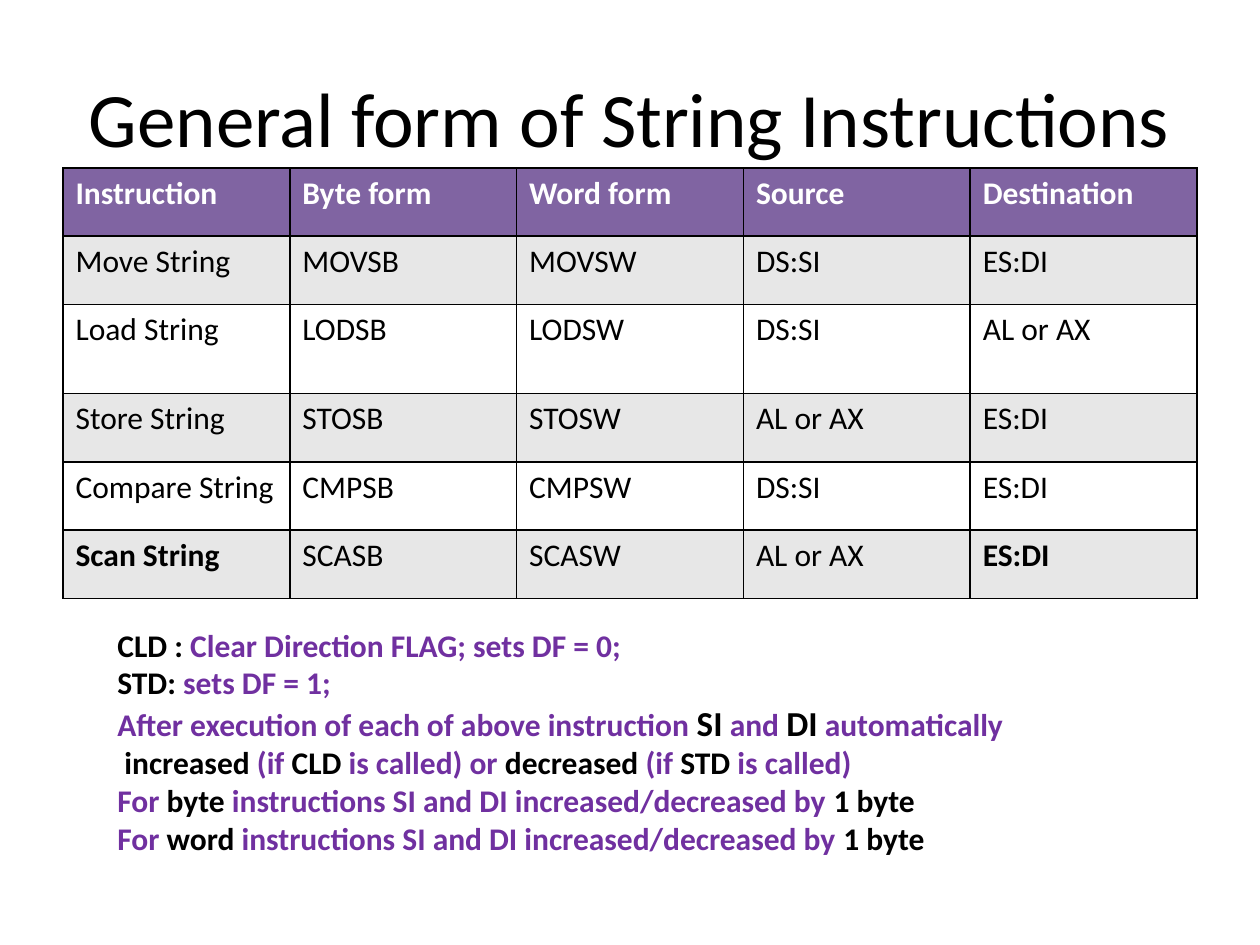
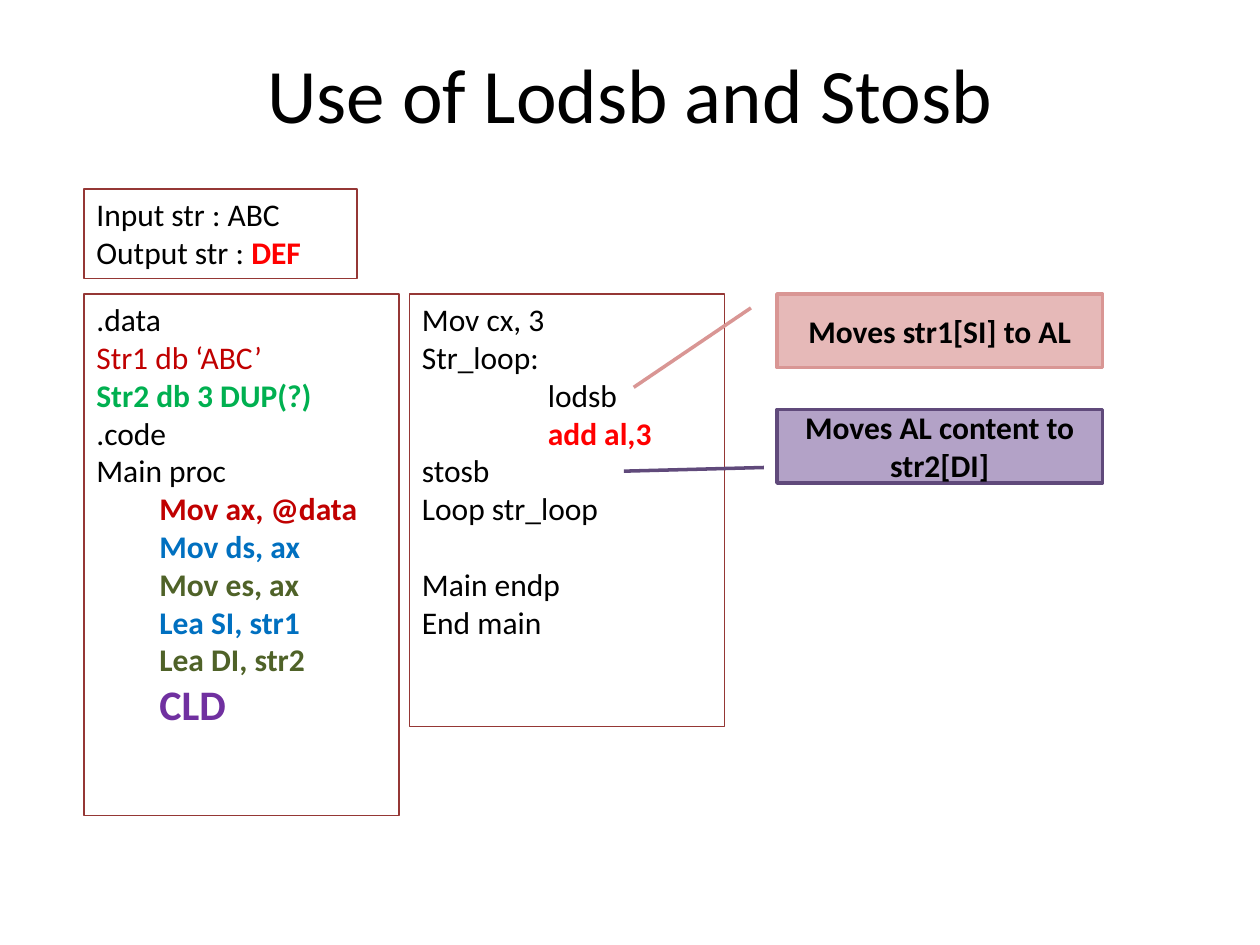
from dataclasses import dataclass
from typing import Any

from lxml.etree import SubElement
from pptx import Presentation
from pptx.dml.color import RGBColor
from pptx.enum.shapes import MSO_SHAPE
from pptx.enum.text import MSO_ANCHOR, PP_ALIGN
from pptx.oxml.ns import qn
from pptx.util import Pt

# Shared style
FONT = "Calibri"
TITLE_SIZE, BODY_SIZE = 44, 18
BLACK = RGBColor(0x00, 0x00, 0x00)
WHITE = RGBColor(0xFF, 0xFF, 0xFF)
PURPLE = RGBColor(0x70, 0x30, 0xA0)
HEADER_PURPLE = RGBColor(0x80, 0x64, 0xA2)
BAND_GRAY = RGBColor(0xE7, 0xE7, 0xE7)
BRIGHT_RED = RGBColor(0xFF, 0x00, 0x00)
DARK_RED = RGBColor(0xC0, 0x00, 0x00)
GREEN = RGBColor(0x00, 0xB0, 0x50)
OLIVE = RGBColor(0x4F, 0x62, 0x28)
BLUE = RGBColor(0x00, 0x70, 0xC0)
FRAME_RED = RGBColor(0x95, 0x37, 0x35)
PINK = RGBColor(0xE6, 0xB9, 0xB8)
PINK_EDGE = RGBColor(0xD9, 0x96, 0x94)
LILAC = RGBColor(0xB3, 0xA2, 0xC7)
LILAC_EDGE = RGBColor(0x60, 0x4A, 0x7B)


@dataclass
class Area:
    left: float
    top: float
    width: float
    height: float

    def points(self) -> list:
        return [Pt(v) for v in (self.left, self.top, self.width, self.height)]


@dataclass
class Span:
    text: str
    color: RGBColor = BLACK
    bold: bool = False
    size: float = BODY_SIZE


@dataclass
class Line:
    spans: list[Span]
    indent: float = 0
    space_before: float = 0


@dataclass
class CodeBox:
    area: Area
    lines: list[Line]


@dataclass
class Callout:
    top: float
    text: str
    fill: RGBColor
    edge: RGBColor
    pointer: tuple[float, ...]


def line(text: str, color: RGBColor = BLACK, bold: bool = False,
         size: float = BODY_SIZE, indent: float = 0, space_before: float = 0) -> Line:
    return Line([Span(text, color, bold, size)], indent, space_before)


def accented(*parts: str) -> Line:
    """Bold line alternating between black and purple, black first."""
    return Line([Span(part, (BLACK, PURPLE)[i % 2], True)
                 for i, part in enumerate(parts) if part])


def set_values(target: Any, values: dict[str, Any]) -> None:
    for name, value in values.items():
        setattr(target, name, value)


def write(frame: Any, lines: list[Line], align: PP_ALIGN = PP_ALIGN.LEFT,
          anchor: MSO_ANCHOR = MSO_ANCHOR.TOP) -> None:
    set_values(frame, {"word_wrap": True, "vertical_anchor": anchor})
    for i, item in enumerate(lines):
        para = frame.add_paragraph() if i else frame.paragraphs[0]
        para.alignment = align
        if item.indent:
            para._p.get_or_add_pPr().set("marL", str(Pt(item.indent)))
        if item.space_before:
            para.space_before = Pt(item.space_before)
        for span in item.spans:
            run = para.add_run()
            run.text = span.text
            set_values(run.font, {"name": FONT, "size": Pt(span.size), "bold": span.bold})
            run.font.color.rgb = span.color


def add_page(deck: Any, title: str, title_height: float) -> Any:
    page = deck.slides.add_slide(deck.slide_layouts[6])
    box = page.shapes.add_textbox(*Area(36, 21.6, 648, title_height).points())
    write(box.text_frame, [line(title, size=TITLE_SIZE)], PP_ALIGN.CENTER, MSO_ANCHOR.MIDDLE)
    return page


def add_outlined(page: Any, kind: MSO_SHAPE, area: Area, edge: RGBColor, weight: float) -> Any:
    shape = page.shapes.add_shape(kind, *area.points())
    shape.shadow.inherit = False
    shape.fill.background()
    shape.line.color.rgb = edge
    shape.line.width = Pt(weight)
    return shape


def add_code_box(page: Any, item: CodeBox) -> None:
    box = add_outlined(page, MSO_SHAPE.RECTANGLE, item.area, FRAME_RED, 0.75)
    write(box.text_frame, item.lines)


def add_callout(page: Any, item: Callout) -> None:
    area = Area(444, item.top, 186, 42)
    shape = add_outlined(page, MSO_SHAPE.LINE_CALLOUT_1, area, item.edge, 2)
    shape.fill.solid()
    shape.fill.fore_color.rgb = item.fill
    for i, value in enumerate(item.pointer):
        shape.adjustments[i] = value
    write(shape.text_frame, [line(item.text, bold=True)], PP_ALIGN.CENTER, MSO_ANCHOR.MIDDLE)


def add_borders(cell: Any) -> None:
    properties = cell._tc.get_or_add_tcPr()
    for side in ("a:lnL", "a:lnR", "a:lnT", "a:lnB"):
        border = SubElement(properties, qn(side), w=str(Pt(1)))
        SubElement(SubElement(border, qn("a:solidFill")), qn("a:srgbClr"), val=str(BLACK))


# String instruction table
INSTRUCTIONS = [
    ("Instruction", "Byte form", "Word form", "Source", "Destination"),
    ("Move String", "MOVSB", "MOVSW", "DS:SI", "ES:DI"),
    ("Load String", "LODSB", "LODSW", "DS:SI", "AL or AX"),
    ("Store String", "STOSB", "STOSW", "AL or AX", "ES:DI"),
    ("Compare String", "CMPSB", "CMPSW", "DS:SI", "ES:DI"),
    ("Scan String", "SCASB", "SCASW", "AL or AX", "ES:DI"),
]
ROW_HEIGHTS = [39, 39, 51, 39, 39, 39]
BOLD_CELLS = {(5, 0), (5, 4)}

FLAG_NOTES = [
    accented("CLD :", " Clear Direction FLAG; sets DF = 0;"),
    accented("STD:", " sets DF = 1;"),
    Line([Span("After execution of each of above instruction ", PURPLE, True),
          Span("SI", BLACK, True, 20), Span(" and ", PURPLE, True),
          Span("DI", BLACK, True, 20), Span(" automatically", PURPLE, True)]),
    accented(" increased", " (if ", "CLD", " is called) or ", "decreased",
             " (if ", "STD", " is called)"),
    *[accented("", "For ", unit, " instructions SI and DI increased/decreased by ", "1 byte")
      for unit in ("byte", "word")],
]

# Program listing
CODE_BOXES = [
    CodeBox(Area(48, 108, 156, 51), [
        line("Input str : ABC"),
        Line([Span("Output str : "), Span("DEF", BRIGHT_RED, True)]),
    ]),
    CodeBox(Area(48, 168, 180, 298), [
        line(".data"),
        line("Str1 db ‘ABC’", DARK_RED),
        line("Str2 db 3 DUP(?)", GREEN, True),
        line(".code"),
        line("Main proc"),
        *[line(text, color, True, indent=36) for text, color in (
            ("Mov ax, @data", DARK_RED), ("Mov ds, ax", BLUE), ("Mov es, ax", OLIVE),
            ("Lea SI, str1", BLUE), ("Lea DI, str2", OLIVE))],
        line("CLD", PURPLE, True, 24, 36),
    ]),
    CodeBox(Area(234, 168, 180, 247), [
        line("Mov cx, 3"),
        line("Str_loop:"),
        line("lodsb", indent=72),
        line("add al,3", BRIGHT_RED, True, indent=72),
        line("stosb"),
        line("Loop str_loop"),
        line("Main endp", space_before=21.6),
        line("End main"),
    ]),
]
CALLOUTS = [
    Callout(168, "Moves str1[SI] to AL", PINK, PINK_EDGE, (0.19, -0.08, 1.27, -0.44)),
    Callout(234, "Moves AL content to str2[DI]", LILAC, LILAC_EDGE,
            (0.79, -0.04, 0.84, -0.47)),
]


def build_general_form(deck: Any) -> None:
    page = add_page(deck, "General form of String Instructions", 90)
    area = Area(36, 96, 648, sum(ROW_HEIGHTS))
    table = page.shapes.add_table(len(INSTRUCTIONS), len(INSTRUCTIONS[0]), *area.points()).table
    table.horz_banding = False
    for r, (labels, height) in enumerate(zip(INSTRUCTIONS, ROW_HEIGHTS)):
        table.rows[r].height = Pt(height)
        fill = (WHITE, BAND_GRAY)[r % 2] if r else HEADER_PURPLE
        for c, label in enumerate(labels):
            cell = table.cell(r, c)
            add_borders(cell)
            cell.fill.solid()
            cell.fill.fore_color.rgb = fill
            write(cell.text_frame, [line(label, BLACK if r else WHITE,
                                         r == 0 or (r, c) in BOLD_CELLS)])
    notes = page.shapes.add_textbox(*Area(60, 354, 582, 140).points())
    write(notes.text_frame, FLAG_NOTES)


def build_lodsb_stosb(deck: Any) -> None:
    page = add_page(deck, "Use of Lodsb and Stosb", 63)
    for code_box in CODE_BOXES:
        add_code_box(page, code_box)
    for callout in CALLOUTS:
        add_callout(page, callout)


def main() -> None:
    deck = Presentation()
    set_values(deck, {"slide_width": Pt(720), "slide_height": Pt(540)})
    build_general_form(deck)
    build_lodsb_stosb(deck)
    deck.save("out.pptx")


if __name__ == "__main__":
    main()
